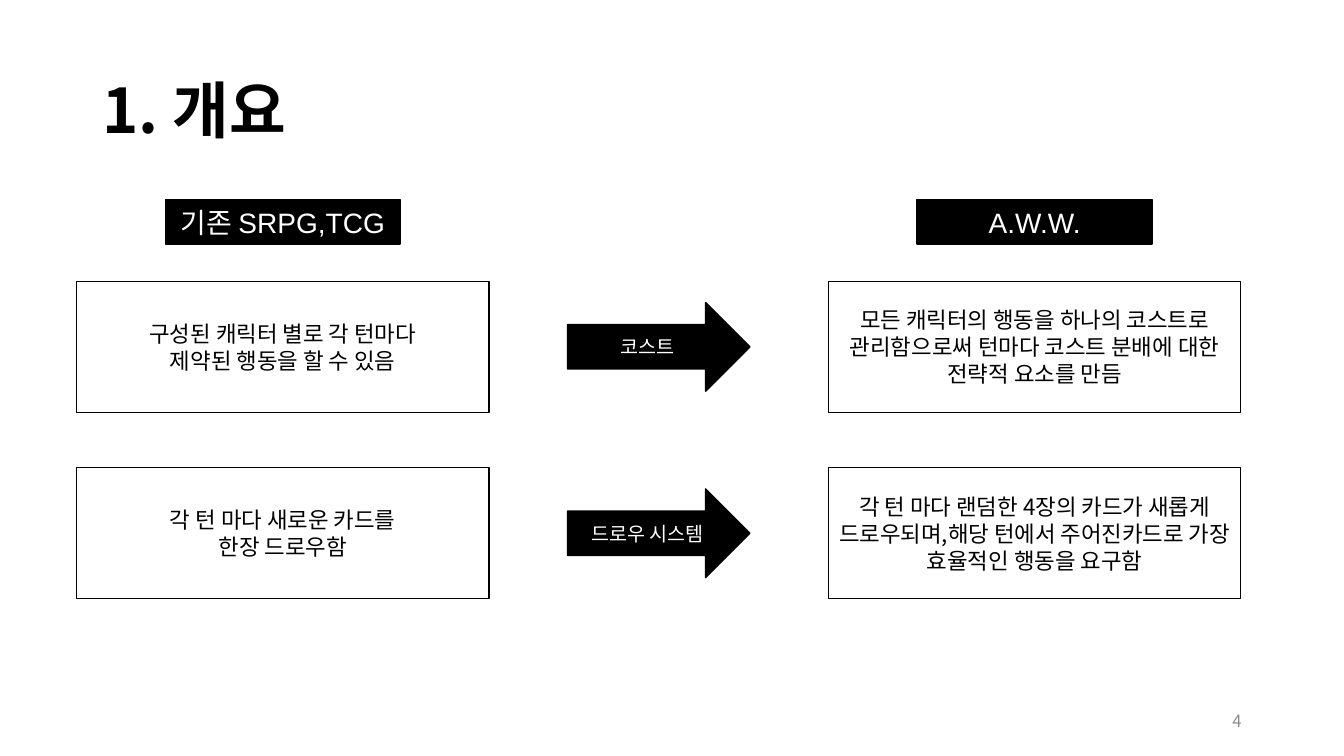
from pptx import Presentation
from pptx.dml.color import RGBColor
from pptx.enum import shapes, text
from pptx.oxml import ns
from pptx.util import Pt
from lxml import etree

TITLE = "1. 개요"
PAGE = "4"
HEADERS = ["기존 SRPG,TCG", "A.W.W."]
ROWS = [
    ("구성된 캐릭터 별로 각 턴마다\n제약된 행동을 할 수 있음",
     "코스트",
     "모든 캐릭터의 행동을 하나의 코스트로 관리함으로써 턴마다 코스트 분배에 대한 전략적 요소를 만듬"),
    ("각 턴 마다 새로운 카드를\n한장 드로우함",
     "드로우 시스템",
     "각 턴 마다 랜덤한 4장의 카드가 새롭게 드로우되며,해당 턴에서 주어진카드로 가장 효율적인 행동을 요구함"),
]

BLACK = RGBColor(0x00, 0x00, 0x00)
WHITE = RGBColor(0xFF, 0xFF, 0xFF)
GRAY = RGBColor(0x8C, 0x8C, 0x8C)
KOREAN = "Noto Sans CJK KR"
LATIN = "Arial"

COLUMNS = [54.7, 591.8]
BOX_W, BOX_H = 294.5, 93.6
TOP, PITCH = 200.9, 133.2
HEADER_Y, HEADER_W, HEADER_H = 142.6, 167.8, 31.7
ARROW_X, ARROW_W, ARROW_H = 405.4, 130.3, 63.4

RECT = shapes.MSO_SHAPE.RECTANGLE
ARROW = shapes.MSO_SHAPE.RIGHT_ARROW
ALIGN = text.PP_ALIGN

prs = Presentation()
prs.slide_width, prs.slide_height = Pt(960), Pt(540)
s = prs.slides.add_slide(prs.slide_layouts[6])


def write(sp, content, size, color, align, font=KOREAN, bold=False):
    tf = sp.text_frame
    tf.word_wrap = True
    tf.vertical_anchor = text.MSO_ANCHOR.MIDDLE
    tf.text = content
    for p in tf.paragraphs:
        p.alignment = align
        for r in p.runs:
            r.font.size = Pt(size)
            r.font.bold = bold
            r.font.color.rgb = color
            r.font.name = font
            ea = etree.SubElement(r.font._element, ns.qn("a:ea"))
            ea.set("typeface", KOREAN)


def add_label(x, y, w, h, content, size, color, align, bold=False):
    sp = s.shapes.add_textbox(Pt(x), Pt(y), Pt(w), Pt(h))
    write(sp, content, size, color, align, bold=bold)
    return sp


def add_block(kind, x, y, w, h, content, size, fill, color, font=KOREAN):
    sp = s.shapes.add_shape(kind, Pt(x), Pt(y), Pt(w), Pt(h))
    sp.shadow.inherit = False
    sp.fill.solid()
    sp.fill.fore_color.rgb = fill
    sp.line.color.rgb = BLACK
    sp.line.width = Pt(1)
    write(sp, content, size, color, ALIGN.CENTER, font)


title = add_label(66, 28.8, 828, 104.4, TITLE, 44, BLACK, ALIGN.LEFT, True)
title.text_frame.paragraphs[0].line_spacing = 0.9

for x, header in zip(COLUMNS, HEADERS):
    add_block(RECT, x + (BOX_W - HEADER_W) / 2, HEADER_Y, HEADER_W, HEADER_H,
              header, 20, BLACK, WHITE, LATIN)

for i, (before, change, after) in enumerate(ROWS):
    y = TOP + i * PITCH
    for x, content in zip(COLUMNS, (before, after)):
        add_block(RECT, x, y, BOX_W, BOX_H, content, 16, WHITE, BLACK)
    add_block(ARROW, ARROW_X, y + (BOX_H - ARROW_H) / 2, ARROW_W, ARROW_H,
              change, 14, BLACK, WHITE)

add_label(678, 500.5, 216, 28.8, PAGE, 12, GRAY, ALIGN.RIGHT)

prs.save("out.pptx")
